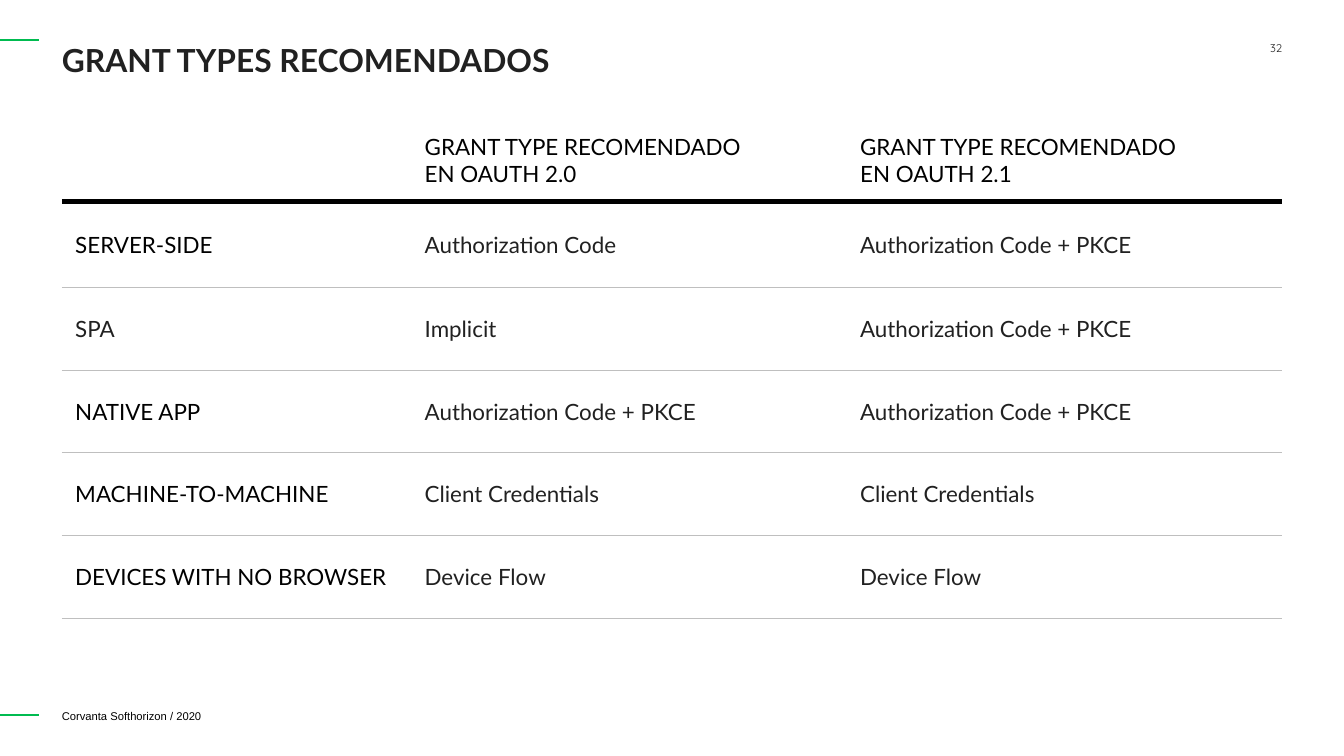
from lxml.etree import SubElement
from pptx import Presentation
from pptx.dml.color import RGBColor
from pptx.enum.shapes import MSO_CONNECTOR
from pptx.enum.text import MSO_ANCHOR, PP_ALIGN
from pptx.oxml.ns import qn
from pptx.util import Inches, Pt

BLACK, DARK, GRAY, GREEN, WHITE = "000000", "212121", "BFBFBF", "00BB50", "FFFFFF"
LEFT, WIDTH = 0.46, 9.08
COLS = [2.6, 3.24, 3.24]
# Header, first row, then four equal rows
HEIGHTS = [0.61, 0.64] + [2.46 / 4] * 4
HEAD = "GRANT TYPE RECOMENDADO\nEN OAUTH "
PKCE = "Authorization Code + PKCE"
ROWS = [
    ["", HEAD + "2.0", HEAD + "2.1"],
    ["SERVER-SIDE", "Authorization Code", PKCE],
    ["SPA", "Implicit", PKCE],
    ["NATIVE APP", PKCE, PKCE],
    ["MACHINE-TO-MACHINE", "Client Credentials", "Client Credentials"],
    ["DEVICES WITH NO BROWSER", "Device Flow", "Device Flow"],
]


def color(code):
    return RGBColor.from_string(code)


def write(frame, text, size=12, font="Lato", ink=DARK, bold=False,
          align=PP_ALIGN.LEFT):
    frame.word_wrap = True
    frame.text = text
    for para in frame.paragraphs:
        para.alignment = align
        para.font.size = Pt(size)
        for run in para.runs:
            run.font.name = font
            run.font.size = Pt(size)
            run.font.bold = bold
            run.font.color.rgb = color(ink)


def add_text(slide, text, left, top, width, height,
             anchor=MSO_ANCHOR.TOP, **style):
    box = slide.shapes.add_textbox(
        Inches(left), Inches(top), Inches(width), Inches(height))
    frame = box.text_frame
    frame.margin_left = frame.margin_right = 0
    frame.margin_top = frame.margin_bottom = 0
    frame.vertical_anchor = anchor
    write(frame, text, **style)


def add_dash(slide, top):
    line = slide.shapes.add_connector(
        MSO_CONNECTOR.STRAIGHT, 0, Inches(top), Inches(0.29), Inches(top))
    line.line.color.rgb = color(GREEN)
    line.line.width = Pt(1)
    SubElement(line._element.spPr, qn("a:effectLst"))


def set_edge(cell, side, rule=None):
    edge = SubElement(cell._tc.get_or_add_tcPr(), qn("a:ln" + side))
    if rule is None:
        SubElement(edge, qn("a:noFill"))
        return
    ink, width = rule
    edge.set("w", str(Pt(width)))
    fill = SubElement(edge, qn("a:solidFill"))
    SubElement(fill, qn("a:srgbClr")).set("val", ink)


def add_grid(slide):
    frame = slide.shapes.add_table(
        len(ROWS), len(COLS), Inches(LEFT), Inches(0.89),
        Inches(WIDTH), Inches(sum(HEIGHTS)))
    table = frame.table
    table.first_row = table.horz_banding = False
    for col, width in zip(table.columns, COLS):
        col.width = Inches(width)
    for row, height in zip(table.rows, HEIGHTS):
        row.height = Inches(height)

    # Rule below each row: thick under the header, thin elsewhere
    rules = [(BLACK, 3)] + [(GRAY, 0.75)] * (len(ROWS) - 1)
    for r, texts in enumerate(ROWS):
        for c, text in enumerate(texts):
            cell = table.cell(r, c)
            cell.margin_left = cell.margin_right = Inches(0.1)
            cell.margin_top = cell.margin_bottom = Inches(0.1)
            cell.vertical_anchor = MSO_ANCHOR.MIDDLE
            label = r == 0 or (c == 0 and text != "SPA")
            write(cell.text_frame, text, ink=BLACK if label else DARK)
            set_edge(cell, "L")
            set_edge(cell, "R")
            set_edge(cell, "T", rules[r - 1] if r else None)
            set_edge(cell, "B", rules[r])
            cell.fill.solid()
            cell.fill.fore_color.rgb = color(WHITE)


def main():
    # Widescreen 16:9
    deck = Presentation()
    deck.slide_width = Inches(10)
    deck.slide_height = Inches(10 * 9 / 16)
    slide = deck.slides.add_slide(deck.slide_layouts[6])

    # Footer, edge dashes and page number
    add_text(slide, "Corvanta Softhorizon / 2020", LEFT, 5.25, 2.22, 0.16,
             anchor=MSO_ANCHOR.MIDDLE, size=6, font="Arial", ink=BLACK)
    for top in (0.3, 5.32):
        add_dash(slide, top)
    add_text(slide, "32", 8.94, 0.31, 0.6, 0.43, size=6, font="Quicksand",
             align=PP_ALIGN.RIGHT)

    # Title and table
    add_text(slide, "GRANT TYPES RECOMENDADOS", LEFT, 0.3, WIDTH, 0.4,
             size=17, bold=True)
    add_grid(slide)
    deck.save("out.pptx")


if __name__ == "__main__":
    main()
